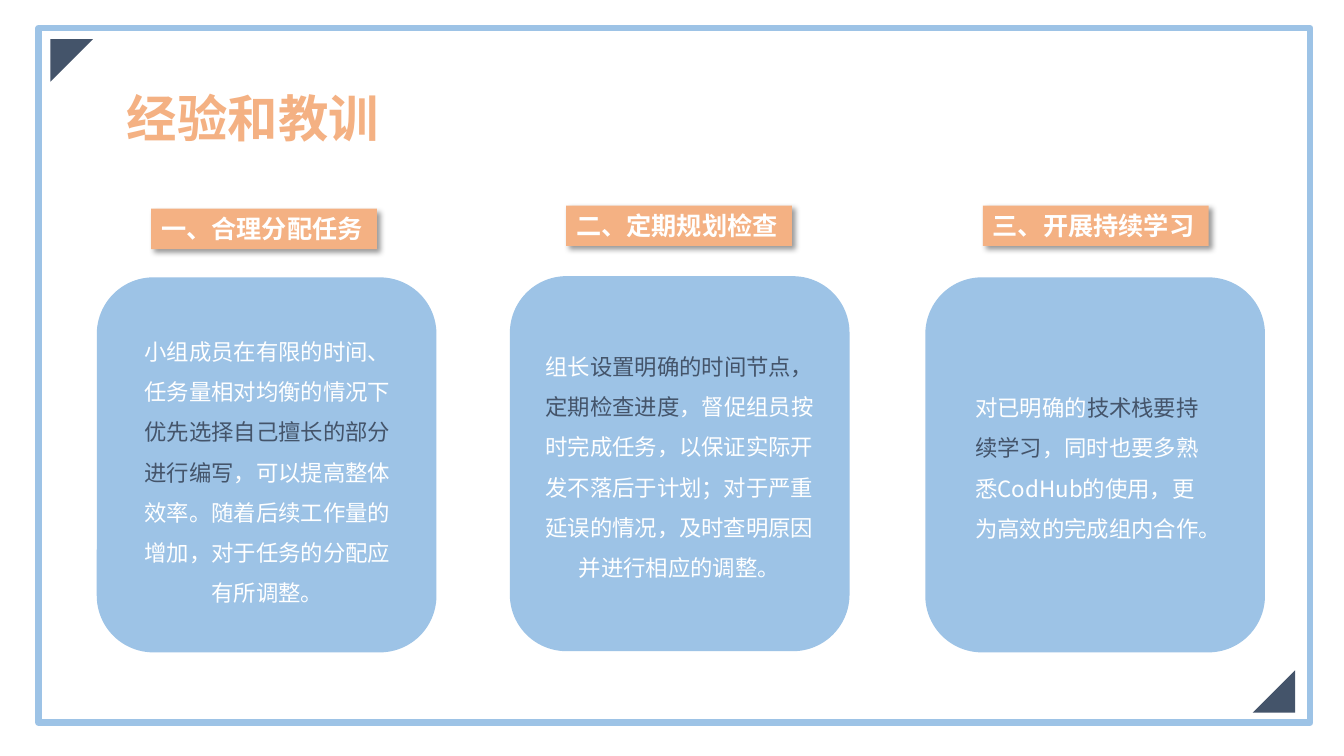
from dataclasses import dataclass

from lxml.etree import SubElement
from pptx import Presentation
from pptx.dml.color import RGBColor
from pptx.enum.shapes import MSO_SHAPE
from pptx.enum.text import MSO_AUTO_SIZE, PP_ALIGN
from pptx.oxml.ns import qn
from pptx.util import Cm, Pt


@dataclass(frozen=True)
class Theme:
    blue: RGBColor = RGBColor(0x9D, 0xC3, 0xE6)
    orange: RGBColor = RGBColor(0xF4, 0xB1, 0x83)
    navy: RGBColor = RGBColor(0x44, 0x54, 0x6A)
    white: RGBColor = RGBColor(0xFF, 0xFF, 0xFF)
    font: str = "Noto Sans CJK SC"
    title: Pt = Pt(36)
    label: Pt = Pt(18)
    body: Pt = Pt(16)


T = Theme()

# Card: box left and top, text box, alignment, text before / in / after the emphasis
CARDS = [
    ((2.44, 6.99), (3.12, 8.05, 7.24, 7.32), PP_ALIGN.CENTER,
     ("小组成员在有限的时间、任务量相对均衡的情况下", "优先选择自己擅长的部分进行编写",
      "，可以提高整体效率。随着后续工作量的增加，对于任务的分配应有所调整。")),
    ((12.85, 6.96), (13.34, 8.43, 7.57, 6.3), PP_ALIGN.CENTER,
     ("组长", "设置明确的时间节点，定期检查进度",
      "，督促组员按时完成任务，以保证实际开发不落后于计划；对于严重延误的情况，"
      "及时查明原因并进行相应的调整。")),
    ((23.32, 6.99), (24.33, 9.47, 6.55, 4.24), PP_ALIGN.LEFT,
     ("对已明确的", "技术栈要持续学习",
      "，同时也要多熟悉CodHub的使用，更为高效的完成组内合作。")),
]
LABELS = [
    (3.81, 5.26, "一、合理分配任务"),
    (14.27, 5.18, "二、定期规划检查"),
    (24.77, 5.18, "三、开展持续学习"),
]


def add_shape(shapes, kind, box, fill=None, line=None, rotation=0):
    sp = shapes.add_shape(kind, *map(Cm, box))
    sp.shadow.inherit = False
    sp.rotation = rotation
    if fill is None:
        sp.fill.background()
    else:
        sp.fill.solid()
        sp.fill.fore_color.rgb = fill
    if line is None:
        sp.line.fill.background()
    else:
        sp.line.color.rgb = line
        sp.line.width = Pt(4.5)
    return sp


def add_text(shapes, box, runs, size, bold=False, fill=None, align=PP_ALIGN.LEFT, spacing=1.0):
    """Add a text box; runs is a list of (text, colour)."""
    sp = shapes.add_textbox(*map(Cm, box))
    if fill is not None:
        sp.fill.solid()
        sp.fill.fore_color.rgb = fill
    tf = sp.text_frame
    tf.word_wrap = True
    tf.auto_size = MSO_AUTO_SIZE.SHAPE_TO_FIT_TEXT
    p = tf.paragraphs[0]
    p.alignment = align
    p.line_spacing = spacing
    for text, color in runs:
        r = p.add_run()
        r.text = text
        r.font.size = size
        r.font.bold = bold
        r.font.name = T.font
        r.font.color.rgb = color
        # East Asian glyphs take their own typeface element
        SubElement(r.font._element, qn("a:ea"), typeface=T.font)
    return sp


def add_drop_shadow(sp):
    sp.shadow.inherit = False
    effects = sp._element.spPr.find(qn("a:effectLst"))
    shadow = SubElement(effects, qn("a:outerShdw"), blurRad=str(Pt(4)), dist=str(Pt(3)),
                        dir=str(45 * 60000), algn="tl", rotWithShape="0")
    color = SubElement(shadow, qn("a:srgbClr"), val="000000")
    SubElement(color, qn("a:alpha"), val="40000")


def add_card(s, corner, text_box, align, texts):
    group = s.shapes.add_group_shape()
    add_shape(group.shapes, MSO_SHAPE.ROUNDED_RECTANGLE, (*corner, 8.56, 9.45), T.blue)
    runs = list(zip(texts, (T.white, T.navy, T.white)))
    add_text(group.shapes, text_box, runs, T.body, fill=T.blue, align=align, spacing=1.5)


def add_label(s, left, top, text):
    sp = add_text(s.shapes, (left, top, 5.69, 1.02), [(text, T.white)], T.label,
                  bold=True, fill=T.orange)
    add_drop_shadow(sp)


def main():
    prs = Presentation()
    prs.slide_width, prs.slide_height = Cm(33.87), Cm(19.05)
    s = prs.slides.add_slide(prs.slide_layouts[6])

    # Cards and their labels
    for card in CARDS:
        add_card(s, *card)
    for label in LABELS:
        add_label(s, *label)

    # Frame with corner triangles
    add_shape(s.shapes, MSO_SHAPE.RECTANGLE, (0.97, 0.71, 32.05, 17.5), line=T.blue)
    for left, top, rotation in ((31.57, 16.89, 270), (1.27, 0.99, 90)):
        add_shape(s.shapes, MSO_SHAPE.RIGHT_TRIANGLE, (left, top, 1.07, 1.07),
                  T.navy, rotation=rotation)

    # Title
    add_text(s.shapes, (2.95, 2.06, 12.07, 1.8), [("经验和教训", T.orange)], T.title, bold=True)

    prs.save("out.pptx")


if __name__ == "__main__":
    main()
